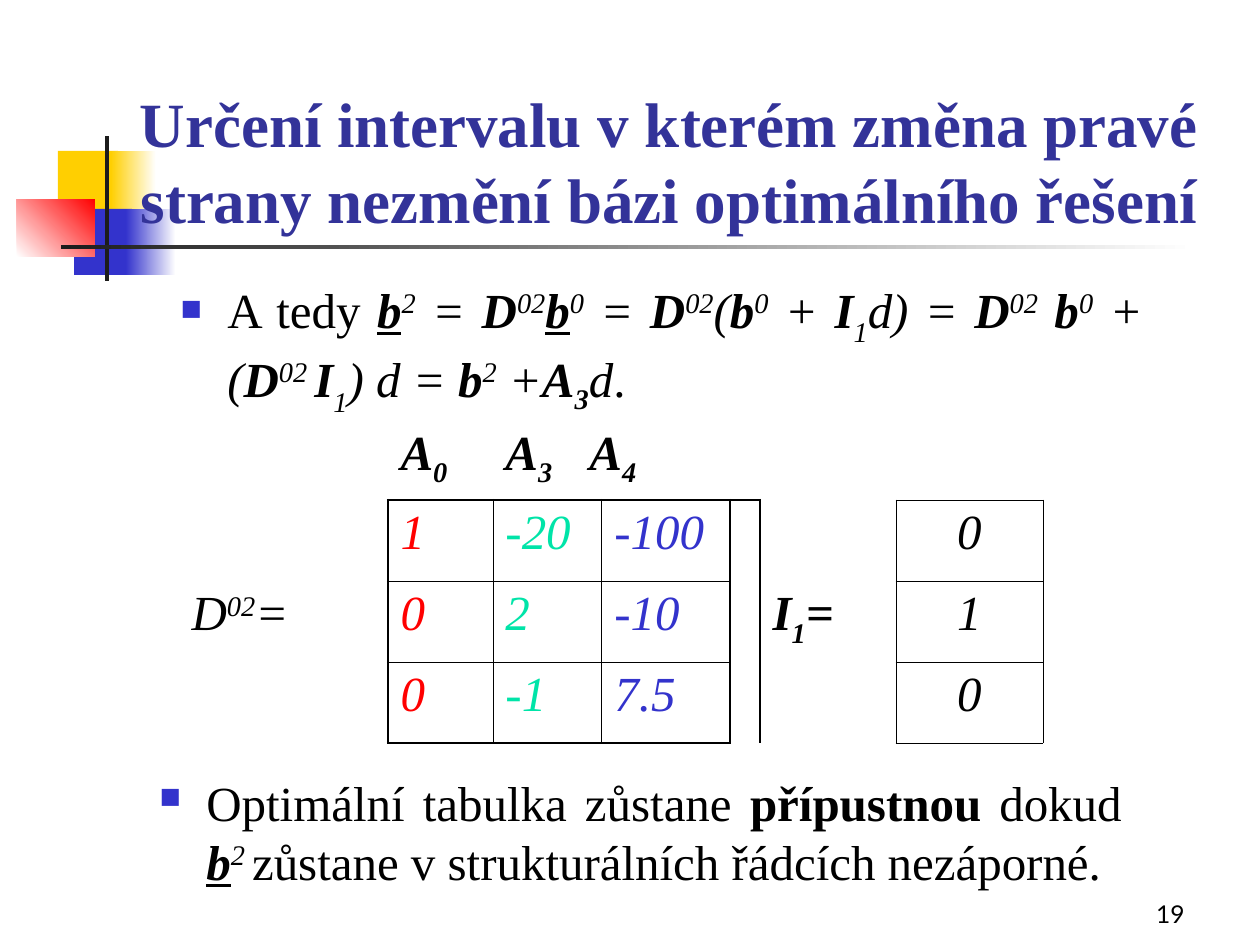
from dataclasses import dataclass

from lxml import etree
from pptx import Presentation
from pptx.dml.color import RGBColor
from pptx.enum.shapes import MSO_SHAPE
from pptx.enum.text import MSO_ANCHOR, PP_ALIGN
from pptx.oxml.ns import qn
from pptx.util import Emu, Pt

RECTANGLE = MSO_SHAPE.RECTANGLE
TOP, BOTTOM = MSO_ANCHOR.TOP, MSO_ANCHOR.BOTTOM
LEFT, CENTER, RIGHT, JUSTIFY = PP_ALIGN.LEFT, PP_ALIGN.CENTER, PP_ALIGN.RIGHT, PP_ALIGN.JUSTIFY
SCALE = 914400 / 126
NO_GRID_STYLE = "{2D5ABB26-0587-4C30-8999-92F81FD0307C}"


@dataclass(frozen=True)
class Theme:
    """Colours, fonts and sizes of the slide."""
    black: str = "000000"
    white: str = "FFFFFF"
    charcoal: str = "1C1C1C"
    yellow: str = "FFCF01"
    blue: str = "3333CC"
    navy: str = "333399"
    red: str = "FF0000"
    green: str = "00E4A8"
    serif: str = "Times New Roman"
    sans: str = "Lato"
    title_size: int = 36
    body_size: int = 28
    number_size: int = 14
    thick: float = 1.47
    thin: float = 0.45


THEME = Theme()
BASELINES = {"^": "30000", "_": "-30000", "v": "-25000"}

FORMULA = [
    ("A tedy ", ""), ("b", "biu"), ("2", "i^"), (" = ", "i"), ("D", "bi"), ("02", "i^"),
    ("b", "biu"), ("0", "i^"), (" = ", "i"), ("D", "bi"), ("02", "i^"), ("(", "i"),
    ("b", "bi"), ("0", "i^"), (" + ", "i"), ("I", "bi"), ("1", "i_"), ("d) = ", "i"),
    ("D", "bi"), ("02", "i^"), (" b", "bi"), ("0", "i^"), (" +(", "i"), ("D", "bi"),
    ("02 ", "i^"), ("I", "bi"), ("1", "i_"), (") d = ", "i"), ("b", "bi"), ("2", "i^"),
    (" +", "i"), ("A", "bi"), ("3", "biv"), ("d", "i"), (". ", ""),
]
CONCLUSION = [
    ("Optimální tabulka zůstane ", ""), ("přípustnou", "b"), (" dokud ", ""),
    ("b", "biu"), ("2 ", "i^"), ("zůstane v strukturálních řádcích nezáporné.", ""),
]
COLUMN_WIDTHS = [136, 73, 105, 84, 25, 59, 69, 30, 136, 147]
ROW_HEIGHTS = [80, 81, 81, 81]
MATRIX_ROWS = [("1", "-20", "-100"), ("0", "2", "-10"), ("0", "-1", "7.5")]
MATRIX_COLUMNS = [(2, THEME.red), (3, THEME.green), (5, THEME.blue)]
UNIT_VECTOR = ["0", "1", "0"]


def px(length):
    """Turn px into EMU."""
    return Emu(round(length * SCALE))


def add_panel(slide, place, color, end_color=None, angle=0):
    """Add a borderless rectangle with a plain or two-colour fill."""
    panel = slide.shapes.add_shape(RECTANGLE, *map(px, place))
    panel.shadow.inherit = False
    panel.line.fill.background()
    if end_color is None:
        panel.fill.solid()
        panel.fill.fore_color.rgb = RGBColor.from_string(color)
        return
    panel.fill.gradient()
    panel.fill.gradient_angle = angle
    for stop, value, position in zip(panel.fill.gradient_stops, (color, end_color), (0, 1)):
        stop.color.rgb = RGBColor.from_string(value)
        stop.position = position


def write_spans(para, spans, color=THEME.black, size=THEME.body_size, face=THEME.serif, align=LEFT):
    """Write spans whose codes give bold, italic, underline and baseline."""
    para.alignment = align
    for text, codes in spans:
        span = para.add_run()
        span.text = text
        formats = {"name": face, "size": Pt(size), "bold": "b" in codes,
                   "italic": "i" in codes, "underline": "u" in codes}
        for name, value in formats.items():
            setattr(span.font, name, value)
        span.font.color.rgb = RGBColor.from_string(color)
        for code in BASELINES.keys() & set(codes):
            span.font._element.set("baseline", BASELINES[code])


def add_bullet(para):
    """Give a paragraph a hanging square bullet."""
    properties = para._p.get_or_add_pPr()
    for name, length in {"marL": 47, "indent": -47}.items():
        properties.set(name, str(px(length)))
    color = etree.SubElement(properties, qn("a:buClr"))
    etree.SubElement(color, qn("a:srgbClr"), val=THEME.blue)
    etree.SubElement(properties, qn("a:buSzPct"), val="60000")
    etree.SubElement(properties, qn("a:buChar"), char="■")


def add_text(slide, place, spans, anchor=TOP, bullet=False, **formats):
    """Add a wrapped text box with one paragraph."""
    box = slide.shapes.add_textbox(*map(px, place))
    box.text_frame.word_wrap = True
    box.text_frame.vertical_anchor = anchor
    para = box.text_frame.paragraphs[0]
    if bullet:
        add_bullet(para)
    write_spans(para, spans, **formats)


def border_widths(row, column):
    """Return the widths of the drawn sides of a cell."""
    thick, thin = THEME.thick, THEME.thin
    if row == 0:
        return {"B": thick} if 2 <= column <= 7 else {"B": thin} if column == 9 else {}
    if 2 <= column <= 6:
        return {"L": thick if column == 2 else thin, "R": thick if column >= 5 else thin,
                "T": thick if row == 1 else thin, "B": thick if row == 3 else thin}
    return {1: {"R": thick}, 7: {"L": thick}, 8: {"R": thin},
            9: dict.fromkeys("LRTB", thin)}.get(column, {})


def style_cell(cell, widths):
    """Draw the borders of a cell and leave it unfilled."""
    properties = cell._tc.get_or_add_tcPr()
    for side, width in widths.items():
        line = etree.SubElement(properties, qn(f"a:ln{side}"), w=str(Pt(width)))
        fill = etree.SubElement(line, qn("a:solidFill"))
        etree.SubElement(fill, qn("a:srgbClr"), val=THEME.black)
    cell.fill.background()


def add_matrices(slide):
    """Add the table holding the inverse basis and the unit vector."""
    place = 179, 420, sum(COLUMN_WIDTHS), sum(ROW_HEIGHTS)
    frame = slide.shapes.add_table(len(ROW_HEIGHTS), len(COLUMN_WIDTHS), *map(px, place))
    table = frame.table
    table.first_row = table.horz_banding = False
    table._tbl.tblPr.find(qn("a:tableStyleId")).text = NO_GRID_STYLE
    for column, width in zip(table.columns, COLUMN_WIDTHS):
        column.width = px(width)
    for row_index, (row, height) in enumerate(zip(table.rows, ROW_HEIGHTS)):
        row.height = px(height)
        for column_index, cell in enumerate(row.cells):
            style_cell(cell, border_widths(row_index, column_index))
        for first in (4, 6) if row_index == 0 else (3, 5):
            table.cell(row_index, first).merge(table.cell(row_index, first + 1))

    def write(row, column, spans, **formats):
        """Write spans into one cell."""
        write_spans(table.cell(row, column).text_frame.paragraphs[0], spans, **formats)

    for column, index in zip((2, 3, 4), "034"):
        write(0, column, [("A", "bi"), (index, "biv")])
    for row, (values, unit) in enumerate(zip(MATRIX_ROWS, UNIT_VECTOR), 1):
        for value, (column, color) in zip(values, MATRIX_COLUMNS):
            write(row, column, [(value, "i")], color=color)
        write(row, 9, [(unit, "i")], align=CENTER)
    write(2, 0, [("D", "i"), ("02", "i^"), ("=", "i")])
    write(2, 8, [("I", "bi"), ("1", "biv"), ("=", "bi")])


def add_ornament(slide):
    """Add the coloured squares and the crossing bars."""
    add_panel(slide, (58, 151, 60, 66), THEME.yellow)
    add_panel(slide, (111, 151, 45, 66), THEME.yellow, THEME.white)
    add_panel(slide, (74, 209, 58, 66), THEME.blue)
    add_panel(slide, (126, 209, 50, 66), THEME.blue, THEME.white)
    add_panel(slide, (17, 199, 78, 58), THEME.white, THEME.red, 45)
    add_panel(slide, (105, 136, 4, 145), THEME.charcoal)
    add_panel(slide, (61, 245, 1134, 4), THEME.charcoal, THEME.white)


def main():
    """Build and save the slide."""
    deck = Presentation()
    deck.slide_width, deck.slide_height = px(1260), px(945)
    slide = deck.slides.add_slide(deck.slide_layouts[6])
    add_ornament(slide)
    add_text(slide, (935, 872, 262, 63), [("19", "")], BOTTOM,
             size=THEME.number_size, face=THEME.sans, align=RIGHT)
    title = "Určení intervalu v kterém změna pravé strany nezmění bázi optimálního řešení"
    add_text(slide, (105, 84, 1128, 158), [(title, "b")], BOTTOM,
             color=THEME.navy, size=THEME.title_size, align=CENTER)
    add_text(slide, (168, 273, 987, 168), FORMULA, bullet=True, align=JUSTIFY)
    add_matrices(slide)
    add_text(slide, (147, 766, 987, 126), CONCLUSION, bullet=True, align=JUSTIFY)
    deck.save("out.pptx")


if __name__ == "__main__":
    main()
